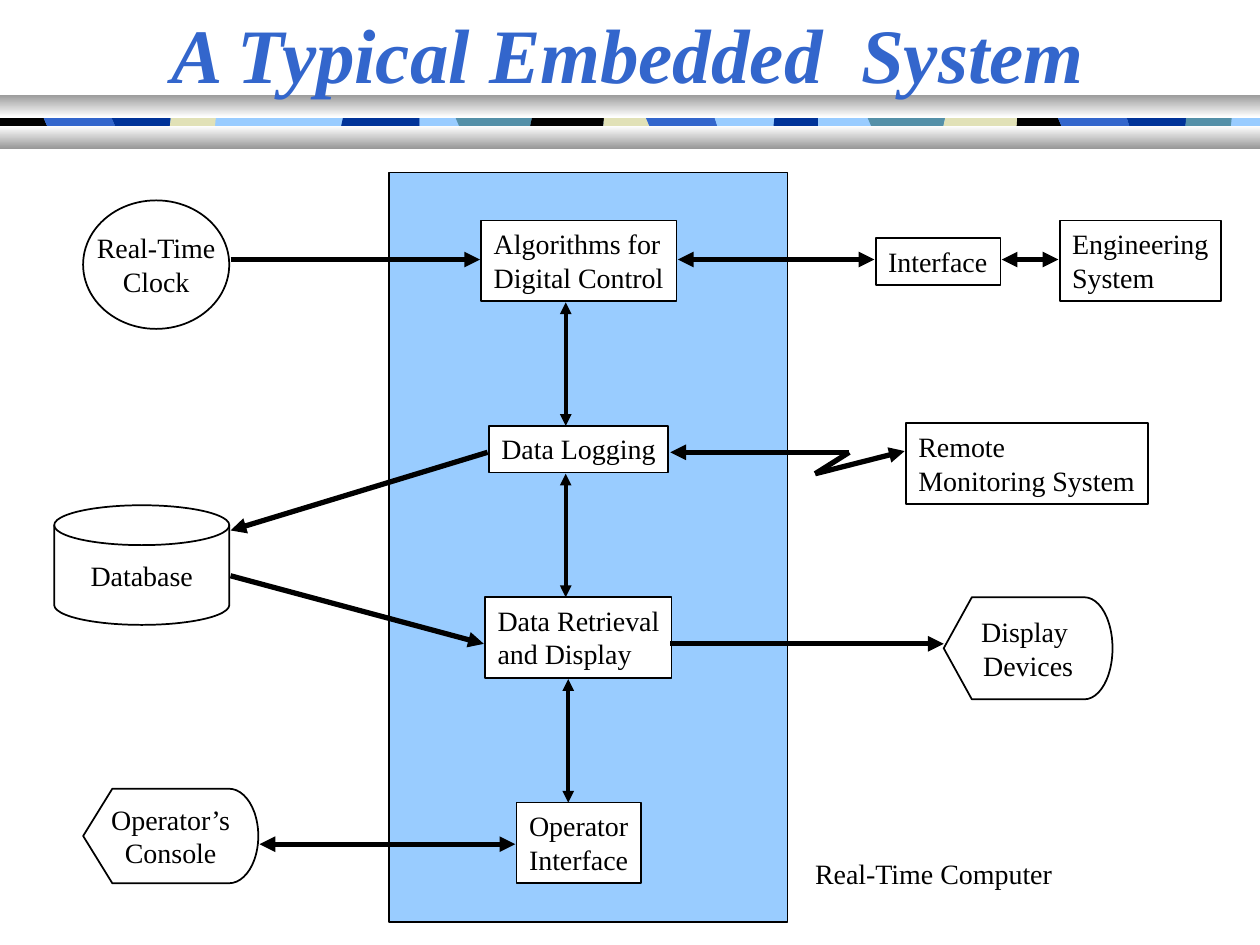
from lxml import etree
from pptx import Presentation
from pptx.dml.color import RGBColor
from pptx.enum import shapes, text
from pptx.oxml.ns import qn
from pptx.util import Inches, Pt

FONT = "Times New Roman"
BLACK, WHITE, GREY = "000000", "FFFFFF", "999999"
BLUE, NAVY, SKY = "3366CC", "003399", "99CCFF"
TEAL, CREAM = "5490A8", "E1E1B7"
SHAPE = shapes.MSO_SHAPE
LEFT, CENTER = text.PP_ALIGN.LEFT, text.PP_ALIGN.CENTER
TOP, MIDDLE = text.MSO_ANCHOR.TOP, text.MSO_ANCHOR.MIDDLE

TITLE = "A Typical Embedded  System"

# Ribbon pieces: colour, left edge at mid height, lean of that edge.
# Each piece ends where the next begins; None leaves the base colour.
RIBBON_TOP, RIBBON_BOTTOM = 0.85, 1.13
RIBBON = [
    (BLACK, 0, 0), (BLUE, 0.37, 0.12), (NAVY, 0.91, 0.12),
    (CREAM, 1.35, -0.03), (SKY, 1.71, -0.02), (NAVY, 2.71, -0.06),
    (SKY, 3.33, 0), (TEAL, 3.64, 0.12), (BLACK, 4.21, -0.06),
    (CREAM, 4.79, -0.02), (BLUE, 5.15, 0.12), (SKY, 5.69, 0.09),
    (NAVY, 6.14, -0.03), (None, 6.49, 0), (TEAL, 6.91, 0.12),
    (CREAM, 7.49, -0.06), (BLACK, 8.07, -0.02), (BLUE, 8.42, 0.12),
    (NAVY, 8.96, 0.09), (TEAL, 9.41, -0.02), (None, 9.77, -0.03),
]
# Gradient bands: top, upper colour, lower colour
BANDS = [(0.75, GREY, WHITE), (1, WHITE, GREY)]

COMPUTER = (3.09, 1.37, 3.16, 5.95)
BOXES = [  # lines, place, fill
    ("Algorithms for\nDigital Control", (3.82, 1.75, 1.55, 0.64), WHITE),
    ("Data Logging", (3.88, 3.38, 1.42, 0.37), WHITE),
    ("Data Retrieval\nand Display", (3.85, 4.74, 1.48, 0.64), WHITE),
    ("Operator\nInterface", (4.1, 6.37, 0.99, 0.64), WHITE),
    ("Interface", (6.95, 1.89, 0.99, 0.37), None),
    ("Engineering\nSystem", (8.41, 1.75, 1.28, 0.64), None),
    ("Remote\nMonitoring System", (7.19, 3.36, 1.92, 0.64), None),
]
DEVICES = [  # kind, lines, place
    (SHAPE.OVAL, "Real-Time\nClock", (0.66, 1.59, 1.16, 1.02)),
    (SHAPE.FLOWCHART_MAGNETIC_DISK, "Database", (0.43, 4.01, 1.39, 0.95)),
    (SHAPE.FLOWCHART_DISPLAY, "Operator’s\nConsole", (0.66, 6.26, 1.39, 0.75)),
    (SHAPE.FLOWCHART_DISPLAY, "Display \nDevices", (7.49, 4.74, 1.34, 0.81)),
]
CAPTION = ("Real-Time Computer", (6.37, 6.75, 2.09, 0.37))

BOTH, END, NONE = ("headEnd", "tailEnd"), ("tailEnd",), ()
WIDE, THIN = 3, 2.25
LINKS = [  # from, to, arrowheads, width
    ((5.38, 2.06), (6.94, 2.06), BOTH, WIDE),
    ((7.95, 2.06), (8.4, 2.06), BOTH, WIDE),
    ((5.32, 5.11), (7.49, 5.11), END, WIDE),
    ((4.09, 6.7), (2.06, 6.7), BOTH, WIDE),
    ((3.87, 3.59), (1.83, 4.21), END, WIDE),
    ((1.83, 4.57), (3.84, 5.11), END, WIDE),
    ((1.83, 2.06), (3.81, 2.06), END, WIDE),
    ((6.74, 3.59), (5.32, 3.59), END, WIDE),
    ((6.47, 3.76), (7.18, 3.58), END, WIDE),
    ((6.74, 3.59), (6.47, 3.76), NONE, WIDE),
    ((4.49, 2.4), (4.49, 3.38), BOTH, THIN),
    ((4.51, 5.39), (4.51, 6.37), BOTH, THIN),
    ((4.49, 3.76), (4.49, 4.74), BOTH, THIN),
]

prs = Presentation()
prs.slide_width, prs.slide_height = Inches(10), Inches(7.5)
slide = prs.slides.add_slide(prs.slide_layouts[6])


def rgb(value):
    return RGBColor.from_string(value)


def paint(shape, fill, outline=None):
    shape.shadow.inherit = False
    if fill:
        shape.fill.solid()
        shape.fill.fore_color.rgb = rgb(fill)
    else:
        shape.fill.background()
    if outline:
        shape.line.color.rgb = rgb(outline)
        shape.line.width = Pt(1)
    else:
        shape.line.fill.background()


def add_shape(kind, place, fill, outline=None):
    shape = slide.shapes.add_shape(kind, *map(Inches, place))
    paint(shape, fill, outline)
    return shape


def write(shape, words, align=LEFT, anchor=TOP, size=16, color=BLACK,
          fancy=False, wrap=False):
    frame = shape.text_frame
    frame.text = words
    frame.word_wrap = wrap
    frame.vertical_anchor = anchor
    for paragraph in frame.paragraphs:
        paragraph.alignment = align
        font = paragraph.font
        font.name, font.size = FONT, Pt(size)
        font.bold = font.italic = fancy
        font.color.rgb = rgb(color)


def add_textbox(place):
    return slide.shapes.add_textbox(*map(Inches, place))


def add_ribbon():
    height = RIBBON_BOTTOM - RIBBON_TOP
    add_shape(SHAPE.RECTANGLE, (0.03, RIBBON_TOP, 9.97, height), SKY)
    for (color, x, lean), (_, end, end_lean) in zip(RIBBON, RIBBON[1:]):
        if color is None:
            continue
        builder = slide.shapes.build_freeform(
            Inches(x - lean / 2), Inches(RIBBON_TOP))
        corners = [(end - end_lean / 2, RIBBON_TOP),
                   (end + end_lean / 2, RIBBON_BOTTOM),
                   (x + lean / 2, RIBBON_BOTTOM)]
        builder.add_line_segments(
            [(Inches(cx), Inches(cy)) for cx, cy in corners], close=True)
        paint(builder.convert_to_shape(), color)


def add_band(top, upper, lower):
    band = add_shape(SHAPE.RECTANGLE, (0, top, 10, 0.18), WHITE)
    band.fill.gradient()
    band.fill.gradient_angle = 270
    for stop, color in zip(band.fill.gradient_stops, (upper, lower)):
        stop.color.rgb = rgb(color)


def add_link(start, end, heads, width):
    link = slide.shapes.add_connector(
        shapes.MSO_CONNECTOR.STRAIGHT, *map(Inches, start + end))
    link.line.color.rgb = rgb(BLACK)
    link.line.width = Pt(width)
    outline = link.line._get_or_add_ln()
    for head in heads:
        etree.SubElement(outline, qn("a:" + head), type="triangle")
    etree.SubElement(link._element.spPr, qn("a:effectLst"))


add_ribbon()
for band in BANDS:
    add_band(*band)
write(add_textbox((0, 0, 9.97, 0.83)), TITLE, CENTER, MIDDLE, 44, BLUE,
      fancy=True, wrap=True)

add_shape(SHAPE.RECTANGLE, COMPUTER, SKY, BLACK)
for words, place, fill in BOXES:
    write(add_shape(SHAPE.RECTANGLE, place, fill, BLACK), words)
for kind, words, place in DEVICES:
    write(add_shape(kind, place, WHITE, BLACK), words, CENTER, MIDDLE)
for link in LINKS:
    add_link(*link)
caption, caption_place = CAPTION
write(add_textbox(caption_place), caption)

prs.save("out.pptx")
